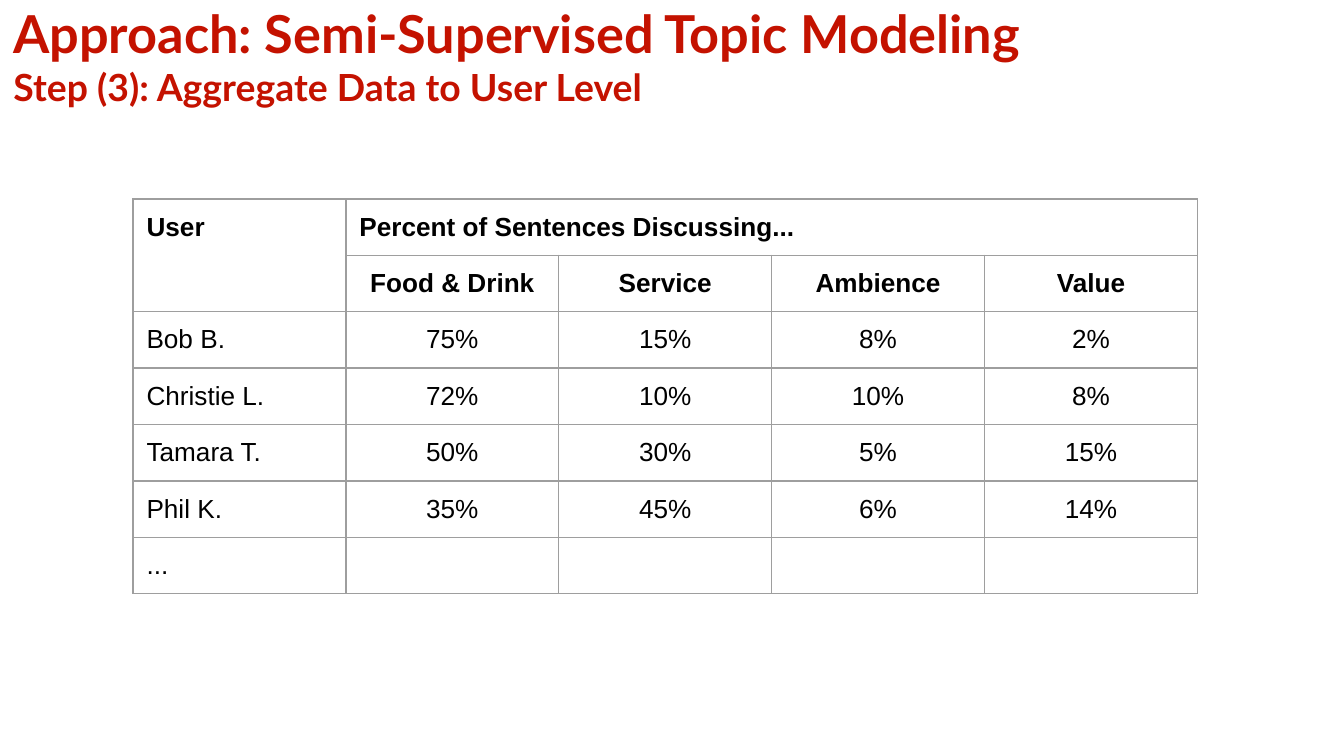
from typing import NamedTuple

from lxml.etree import SubElement
from pptx import Presentation
from pptx.dml.color import RGBColor
from pptx.enum.text import MSO_ANCHOR, MSO_AUTO_SIZE, PP_ALIGN
from pptx.oxml.ns import qn
from pptx.util import Inches, Pt

RED = RGBColor(0xC4, 0x12, 0x00)
BLACK = RGBColor(0x00, 0x00, 0x00)
GREY = RGBColor(0x9E, 0x9E, 0x9E)

SLIDE_WIDTH = Inches(10)
SLIDE_HEIGHT = SLIDE_WIDTH * 9 // 16
MARGIN = Inches(0.1)
TABLE_WIDTH = Inches(7.92)
ROW_HEIGHT = Inches(0.42)
HEADER_ROWS = 2


class Heading(NamedTuple):
    text: str
    size: int


class UserShares(NamedTuple):
    user: str
    food: str = ""
    service: str = ""
    ambience: str = ""
    value: str = ""


HEADINGS = [
    Heading("Approach: Semi-Supervised Topic Modeling", 28),
    Heading("Step (3): Aggregate Data to User Level", 20),
]
ROWS = [
    UserShares("User", "Percent of Sentences Discussing..."),
    UserShares("", "Food & Drink", "Service", "Ambience", "Value"),
    UserShares("Bob B.", "75%", "15%", "8%", "2%"),
    UserShares("Christie L.", "72%", "10%", "10%", "8%"),
    UserShares("Tamara T.", "50%", "30%", "5%", "15%"),
    UserShares("Phil K.", "35%", "45%", "6%", "14%"),
    UserShares("..."),
]


def set_margins(box) -> None:
    box.margin_left = box.margin_right = MARGIN
    box.margin_top = box.margin_bottom = MARGIN


def draw_title(slide, headings: list[Heading]) -> None:
    title = slide.shapes.title
    title.left, title.top = Inches(0), Inches(0)
    title.width, title.height = Inches(9.89), Inches(0.82)
    frame = title.text_frame
    frame.word_wrap = True
    frame.auto_size = MSO_AUTO_SIZE.NONE
    frame.vertical_anchor = MSO_ANCHOR.MIDDLE
    set_margins(frame)
    frame.text = "\n".join(heading.text for heading in headings)
    for paragraph, heading in zip(frame.paragraphs, headings):
        paragraph.alignment = PP_ALIGN.LEFT
        font = paragraph.font
        font.name, font.size, font.bold = "Lato", Pt(heading.size), True
        font.color.rgb = RED


def add_borders(cell) -> None:
    """Rule all four sides; must run before the fill, which follows them in XML."""
    properties = cell._tc.get_or_add_tcPr()
    for side in ("a:lnL", "a:lnR", "a:lnT", "a:lnB"):
        line = SubElement(properties, qn(side), w=str(Pt(0.75)))
        fill = SubElement(line, qn("a:solidFill"))
        SubElement(fill, qn("a:srgbClr"), val=str(GREY))


def write_cell(cell, text: str, bold: bool, alignment: PP_ALIGN) -> None:
    set_margins(cell)
    cell.text = text
    paragraph = cell.text_frame.paragraphs[0]
    paragraph.alignment = alignment
    font = paragraph.font
    font.name, font.size, font.bold = "Arial", Pt(14), bold
    font.color.rgb = BLACK


def draw_table(slide, rows: list[UserShares]) -> None:
    column_count = len(UserShares._fields)
    table = slide.shapes.add_table(
        len(rows), column_count, Inches(0.99), Inches(1.48),
        TABLE_WIDTH, ROW_HEIGHT * len(rows),
    ).table
    table.first_row = table.horz_banding = False
    for column in table.columns:
        column.width = TABLE_WIDTH // column_count
    for row in table.rows:
        row.height = ROW_HEIGHT

    for r, shares in enumerate(rows):
        for c, text in enumerate(shares):
            cell = table.cell(r, c)
            add_borders(cell)
            cell.fill.background()
            if text:
                left = r == 0 or c == 0
                write_cell(cell, text, r < HEADER_ROWS,
                           PP_ALIGN.LEFT if left else PP_ALIGN.CENTER)

    table.cell(0, 0).merge(table.cell(HEADER_ROWS - 1, 0))
    table.cell(0, 1).merge(table.cell(0, column_count - 1))


def main() -> None:
    presentation = Presentation()
    presentation.slide_width = SLIDE_WIDTH
    presentation.slide_height = SLIDE_HEIGHT
    title_only = presentation.slide_layouts[5]
    slide = presentation.slides.add_slide(title_only)
    draw_title(slide, HEADINGS)
    draw_table(slide, ROWS)
    presentation.save("out.pptx")


if __name__ == "__main__":
    main()
